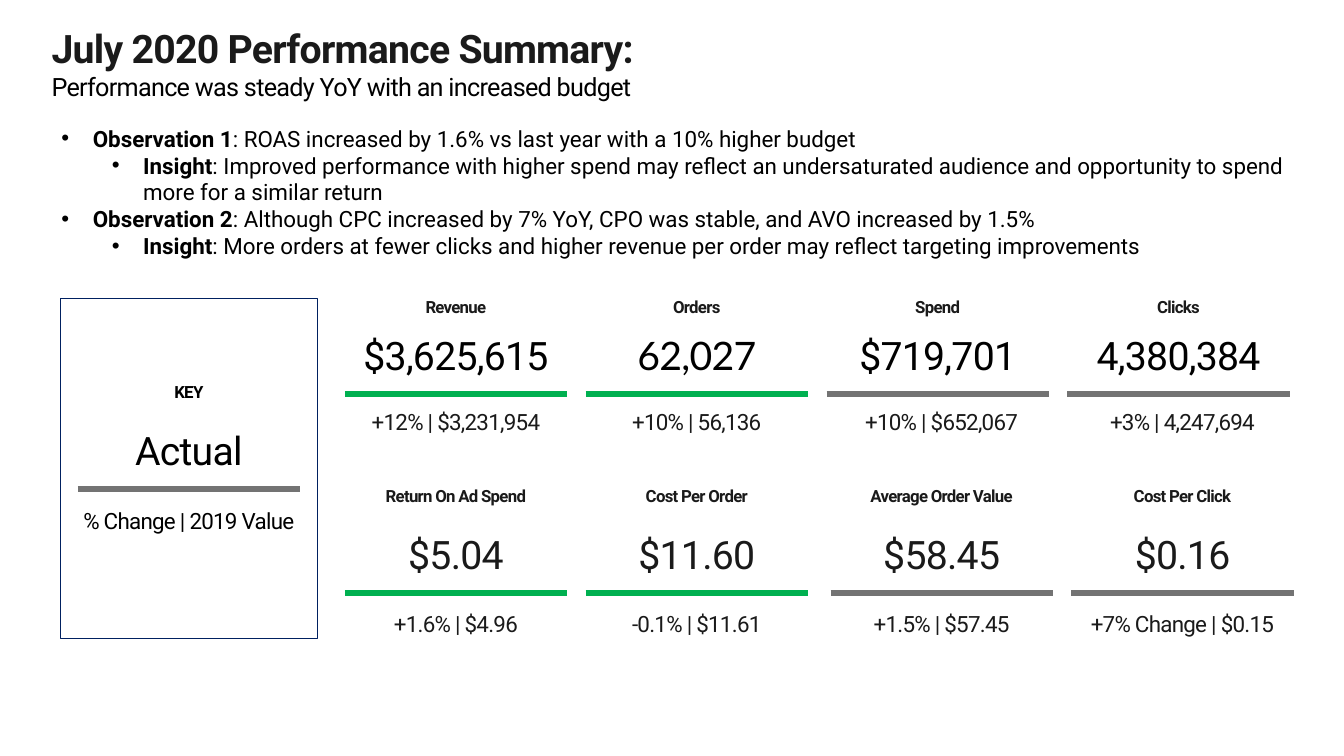
from lxml import etree
from pptx import Presentation
from pptx.dml.color import RGBColor
from pptx.enum.shapes import MSO_CONNECTOR, MSO_SHAPE
from pptx.enum.text import MSO_ANCHOR, PP_ALIGN
from pptx.oxml.ns import qn
from pptx.util import Cm, Pt

STRAIGHT = MSO_CONNECTOR.STRAIGHT
RECT = MSO_SHAPE.RECTANGLE
TOP = MSO_ANCHOR.TOP
BOTTOM = MSO_ANCHOR.BOTTOM
CENTER = PP_ALIGN.CENTER

COLORS = {
    "black": "000000",
    "ink": "1A1A1A",
    "green": "00B050",
    "gray": "737373",
    "navy": "002060",
}
FONT = "Roboto"
CARD_W = 5.6
PITCH = 6.07
SHIFT = 0.1

NOTES = [
    (0, "Observation 1", ": ROAS increased by 1.6% vs last year with a 10% higher budget"),
    (1, "Insight", ": Improved performance with higher spend may reflect an undersaturated "
                   "audience and opportunity to spend more for a similar return"),
    (0, "Observation 2", ": Although CPC increased by 7% YoY, CPO was stable, and AVO increased by 1.5%"),
    (1, "Insight", ": More orders at fewer clicks and higher revenue per order may reflect "
                   "targeting improvements"),
]
TOP_ROW = [
    ("Revenue", "$3,625,615", "+12% | $3,231,954"),
    ("Orders", "62,027", "+10% | 56,136"),
    ("Spend", "$719,701", "+10% | $652,067"),
    ("Clicks", "4,380,384", "+3% | 4,247,694"),
]
LOW_ROW = [
    ("Return On Ad Spend", "$5.04", "+1.6% | $4.96"),
    ("Cost Per Order", "$11.60", "-0.1% | $11.61"),
    ("Average Order Value", "$58.45", "+1.5% | $57.45"),
    ("Cost Per Click", "$0.16", "+7% Change | $0.15"),
]
KEY = ("KEY", "Actual", "% Change | 2019 Value")


def rgb(name):
    return RGBColor.from_string(COLORS[name])


def style(para, size, color, bold=None, face=FONT, tight=True):
    font = para.font
    font.name = face
    font.size = Pt(size)
    font.bold = bold
    font.color.rgb = rgb(color)
    if tight:
        font._element.set("spc", "-50")


def add_box(slide, x, y, w, h, anchor=TOP, inset=0):
    frame = slide.shapes.add_textbox(Cm(x), Cm(y), Cm(w), Cm(h)).text_frame
    frame.word_wrap = True
    frame.vertical_anchor = anchor
    frame.margin_left = frame.margin_right = Cm(inset)
    frame.margin_top = frame.margin_bottom = Cm(inset / 2)
    return frame


def add_label(slide, x, y, h, text, size, color, bold=False, face=FONT):
    para = add_box(slide, x, y, CARD_W, h, BOTTOM).paragraphs[0]
    para.text = text
    para.alignment = CENTER
    para.line_spacing = 0.9
    style(para, size, color, bold, face)


def add_title(slide, x, y, w, h):
    frame = add_box(slide, x, y, w, h)
    head = frame.paragraphs[0]
    head.text = "July 2020 Performance Summary:"
    style(head, 28, "ink", True)
    sub = frame.add_paragraph()
    sub.text = "Performance was steady YoY with an increased budget"
    style(sub, 18, "black", False)


def add_notes(slide, x, y, w, h):
    frame = add_box(slide, x, y, w, h, inset=0.25)
    for i, (level, lead, rest) in enumerate(NOTES):
        para = frame.add_paragraph() if i else frame.paragraphs[0]
        para.level = level
        props = para._p.get_or_add_pPr()
        props.set("marL", str(Cm(0.79 + 1.27 * level)))
        props.set("indent", str(Cm(-0.79)))
        etree.SubElement(props, qn("a:buFont")).set("typeface", "Arial")
        etree.SubElement(props, qn("a:buChar")).set("char", "•")
        style(para, 16, "black", tight=False)
        for text, bold in ((lead, True), (rest, False)):
            run = para.add_run()
            run.text = text
            run.font.bold = bold


def add_card(slide, x, line_y, texts, bar, lead, drop, tints, face=FONT, nudge=0):
    label, value, change = texts
    add_label(slide, x, line_y - lead, 0.46, label, 12, tints[0], True)
    add_label(slide, x, line_y - 1.45, 1.07, value, 28, tints[1], face=face)
    line = slide.shapes.add_connector(
        STRAIGHT, Cm(x), Cm(line_y), Cm(x + CARD_W), Cm(line_y))
    line.line.color.rgb = rgb(bar)
    line.line.width = Pt(4.5)
    etree.SubElement(line._element.spPr, qn("a:effectLst"))
    add_label(slide, x + nudge, line_y + drop, 0.61, change, 16, tints[2])


def add_grid(slide, x, y):
    for col, (upper, lower) in enumerate(zip(TOP_ROW, LOW_ROW)):
        left = x + col * PITCH
        bar, nudge = ("green", 0) if col < 2 else ("gray", SHIFT)
        face = "Lato" if col == 1 else FONT
        add_card(slide, left, y + 2.41, upper, bar, 2.41, 0.43,
                 ("ink", "black", "ink"), face, nudge)
        add_card(slide, left + nudge, y + 7.42, lower, bar, 2.64, 0.51,
                 ("ink", "ink", "ink"))


def add_key(slide, x, y, w, h):
    add_card(slide, x + 0.44, y + 4.8, KEY, "gray", 2.64, 0.53, ("black",) * 3)
    frame = slide.shapes.add_shape(RECT, Cm(x), Cm(y), Cm(w), Cm(h))
    frame.shadow.inherit = False
    frame.fill.background()
    frame.line.color.rgb = rgb("navy")
    frame.line.width = Pt(0.75)


def main():
    deck = Presentation()
    deck.slide_width = Cm(33.87)
    deck.slide_height = Cm(19.05)
    slide = deck.slides.add_slide(deck.slide_layouts[6])
    add_title(slide, 1.3, 0.61, 30.6, 1.96)
    add_notes(slide, 1.3, 3.02, 31.6, 5.05)
    add_key(slide, 1.52, 7.52, 6.48, 8.56)
    add_grid(slide, 8.69, 7.52)
    deck.save("out.pptx")


if __name__ == "__main__":
    main()
